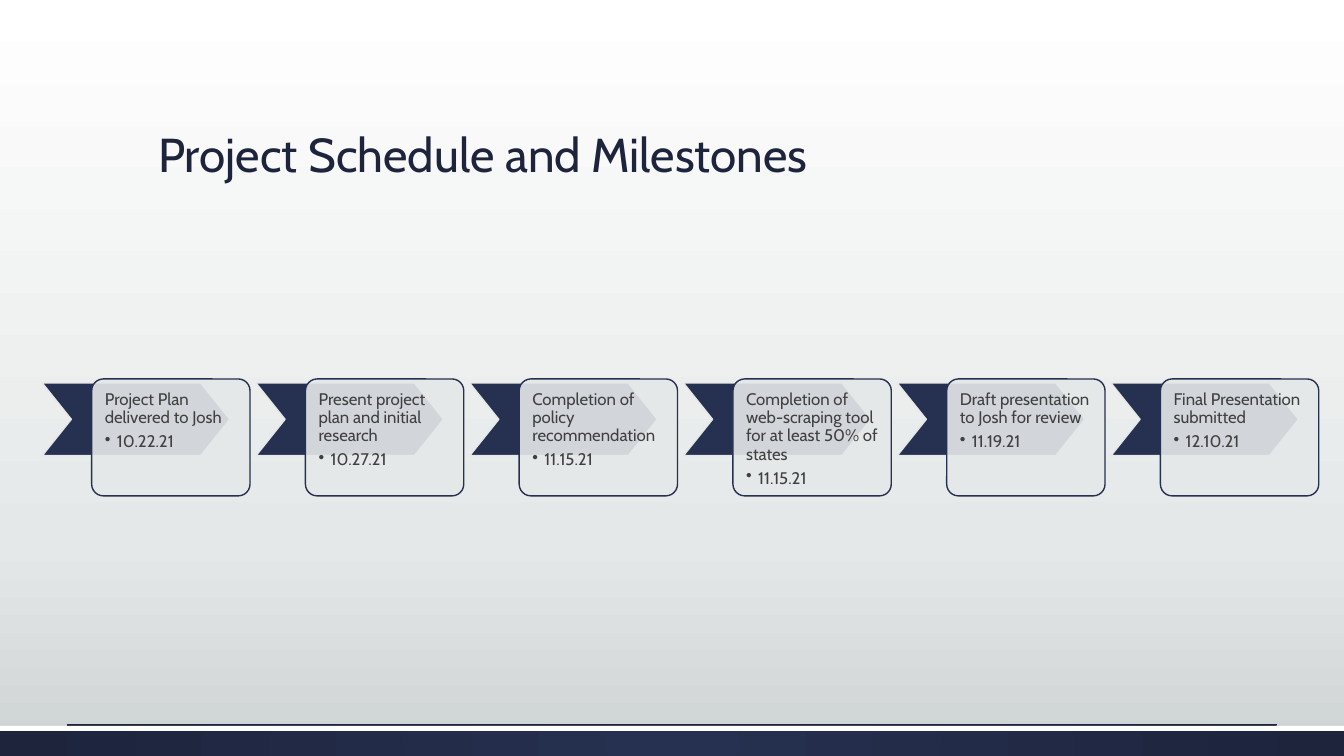
"""Build the project schedule slide: a title above six milestone chevrons."""
from lxml import etree
from pptx import Presentation
from pptx.dml.color import RGBColor
from pptx.enum.shapes import MSO_CONNECTOR, MSO_SHAPE
from pptx.enum.text import MSO_ANCHOR
from pptx.oxml.ns import qn
from pptx.util import Inches, Pt

RECTANGLE = MSO_SHAPE.RECTANGLE
CHEVRON = MSO_SHAPE.CHEVRON
ROUNDED = MSO_SHAPE.ROUNDED_RECTANGLE
STRAIGHT = MSO_CONNECTOR.STRAIGHT
BOTTOM = MSO_ANCHOR.BOTTOM

FONT = "Cabin"
COLORS = {"white": "FFFFFF", "mist": "E5E8E8", "silver": "CDD2D2",
          "navy": "263050", "ink": "1D243C", "text": "404040"}
RGB = {name: RGBColor.from_string(value) for name, value in COLORS.items()}
WIDTH, HEIGHT = 13.33, 7.5
FIRST_LEFT, COLUMN = 0.42, 2.12
CARD_TOP = HEIGHT / 2 + 0.01
FOOTER_TOP = HEIGHT * 0.96
MILESTONES = [
    ("Project Plan delivered to Josh", "10.22.21"),
    ("Present project plan and initial research", "10.27.21"),
    ("Completion of policy recommendation", "11.15.21"),
    ("Completion of web-scraping tool for at least 50% of states", "11.15.21"),
    ("Draft presentation to Josh for review", "11.19.21"),
    ("Final Presentation submitted", "12.10.21"),
]


def set_gradient(fill, owner, stops):
    """Give the fill its colour stops and return the gradient element."""
    fill.gradient()
    gradient = owner.element.find(".//" + qn("a:gradFill"))
    stop_list = gradient.find(qn("a:gsLst"))
    for stop in list(stop_list):
        stop_list.remove(stop)
    for percent, name in stops:
        stop = etree.SubElement(stop_list, qn("a:gs"), pos=str(percent * 1000))
        etree.SubElement(stop, qn("a:srgbClr"), val=COLORS[name])
    return gradient


def add_box(kind, left, top, width, height, fill, line=None):
    """Add a preset shape without shadow."""
    shape = slide.shapes.add_shape(
        kind, Inches(left), Inches(top), Inches(width), Inches(height))
    shape.shadow.inherit = False
    shape.fill.solid()
    shape.fill.fore_color.rgb = RGB[fill]
    if line:
        shape.line.color.rgb = RGB[line]
        shape.line.width = Pt(1)
    else:
        shape.line.fill.background()
    return shape


presentation = Presentation()
presentation.slide_width = Inches(WIDTH)
presentation.slide_height = Inches(HEIGHT)
slide = presentation.slides.add_slide(presentation.slide_layouts[6])

background = slide.background.fill
set_gradient(background, slide, [(0, "white"), (72, "mist"), (100, "silver")])
background.gradient_angle = 270

footer = add_box(RECTANGLE, 0, FOOTER_TOP, WIDTH, HEIGHT - FOOTER_TOP, "navy")
gradient = set_gradient(footer.fill, footer, [(0, "navy"), (100, "ink")])
gradient.remove(gradient.find(qn("a:lin")))
radial = etree.SubElement(gradient, qn("a:path"), path="circle")
etree.SubElement(radial, qn("a:fillToRect"),
                 l="50000", t="50000", r="50000", b="50000")
add_box(RECTANGLE, 0, FOOTER_TOP, WIDTH, 0.05, "white")

rule = slide.shapes.add_connector(
    STRAIGHT, Inches(WIDTH * 0.05), Inches(FOOTER_TOP - 0.01),
    Inches(WIDTH * 0.95), Inches(FOOTER_TOP - 0.01))
rule.line.color.rgb = RGB["ink"]
rule.line.width = Pt(0.5)
etree.SubElement(rule.element.spPr, qn("a:effectLst"))

title = slide.shapes.add_textbox(
    Inches(1.47), Inches(0.51), Inches(10.4), Inches(1.35))
title.text_frame.word_wrap = True
title.text_frame.vertical_anchor = BOTTOM
title.text_frame.text = "Project Schedule and Milestones"
heading = title.text_frame.paragraphs[0]
heading.line_spacing = 0.9
heading.font.name = FONT
heading.font.size = Pt(34)
heading.font.color.rgb = RGB["ink"]

for index, (milestone, date) in enumerate(MILESTONES):
    left = FIRST_LEFT + index * COLUMN
    chevron = add_box(CHEVRON, left, CARD_TOP + 0.04, 1.86, 0.72, "navy", "mist")
    chevron.adjustments[0] = 0.4
    card = add_box(ROUNDED, left + 0.49, CARD_TOP, 1.57, 1.16, "mist", "navy")
    card.adjustments[0] = 0.1
    card_color = card.element.spPr.find(qn("a:solidFill")).find(qn("a:srgbClr"))
    etree.SubElement(card_color, qn("a:alpha"), val="90000")

    label = slide.shapes.add_textbox(
        Inches(left + 0.53), Inches(CARD_TOP + 0.03), Inches(1.5), Inches(1.09))
    frame = label.text_frame
    frame.word_wrap = True
    frame.margin_left = frame.margin_right = Inches(0.09)
    frame.margin_top = frame.margin_bottom = Inches(0.09)
    frame.text = f"{milestone}\n{date}"
    for paragraph, space in zip(frame.paragraphs, (4.2, 1.8)):
        paragraph.line_spacing = 0.9
        paragraph.space_after = Pt(space)
        for run in paragraph.runs:
            run.font.name = FONT
            run.font.size = Pt(12)
            run.font.color.rgb = RGB["text"]
    bullet = frame.paragraphs[1]
    bullet.level = 1
    properties = bullet._p.get_or_add_pPr()
    properties.set("marL", str(Inches(0.12)))
    properties.set("indent", str(-Inches(0.12)))
    etree.SubElement(properties, qn("a:buChar"), char="•")

presentation.save("out.pptx")
